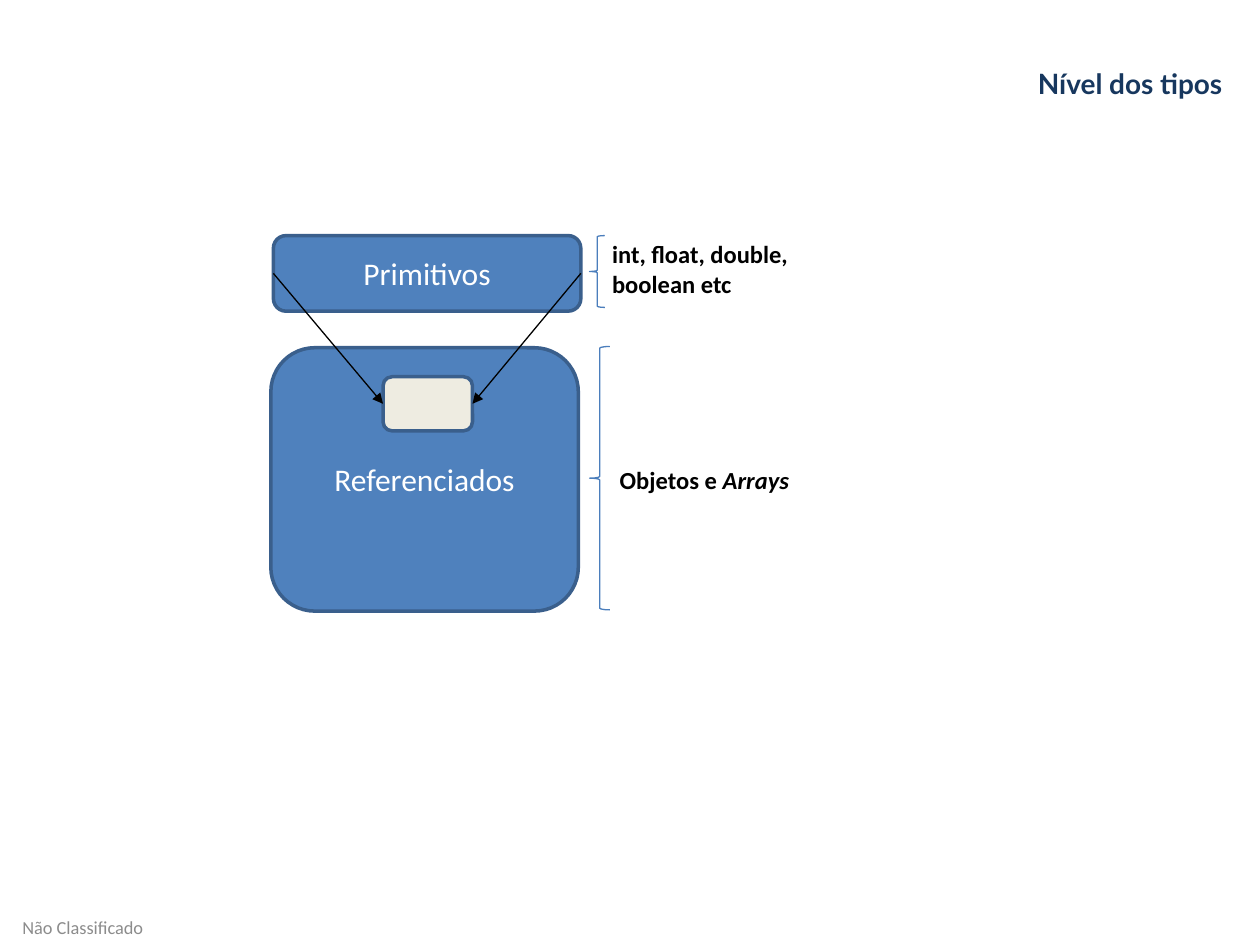
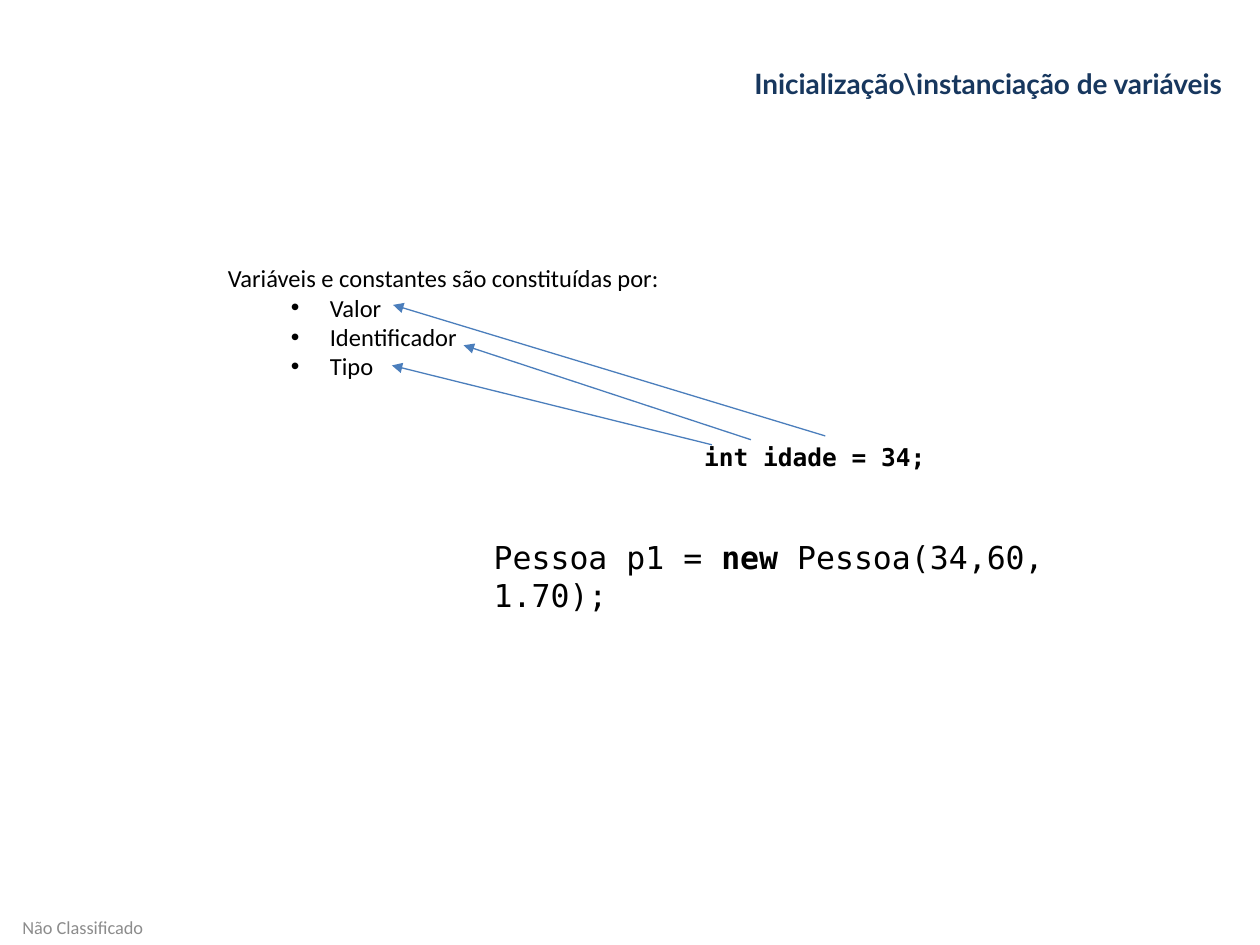
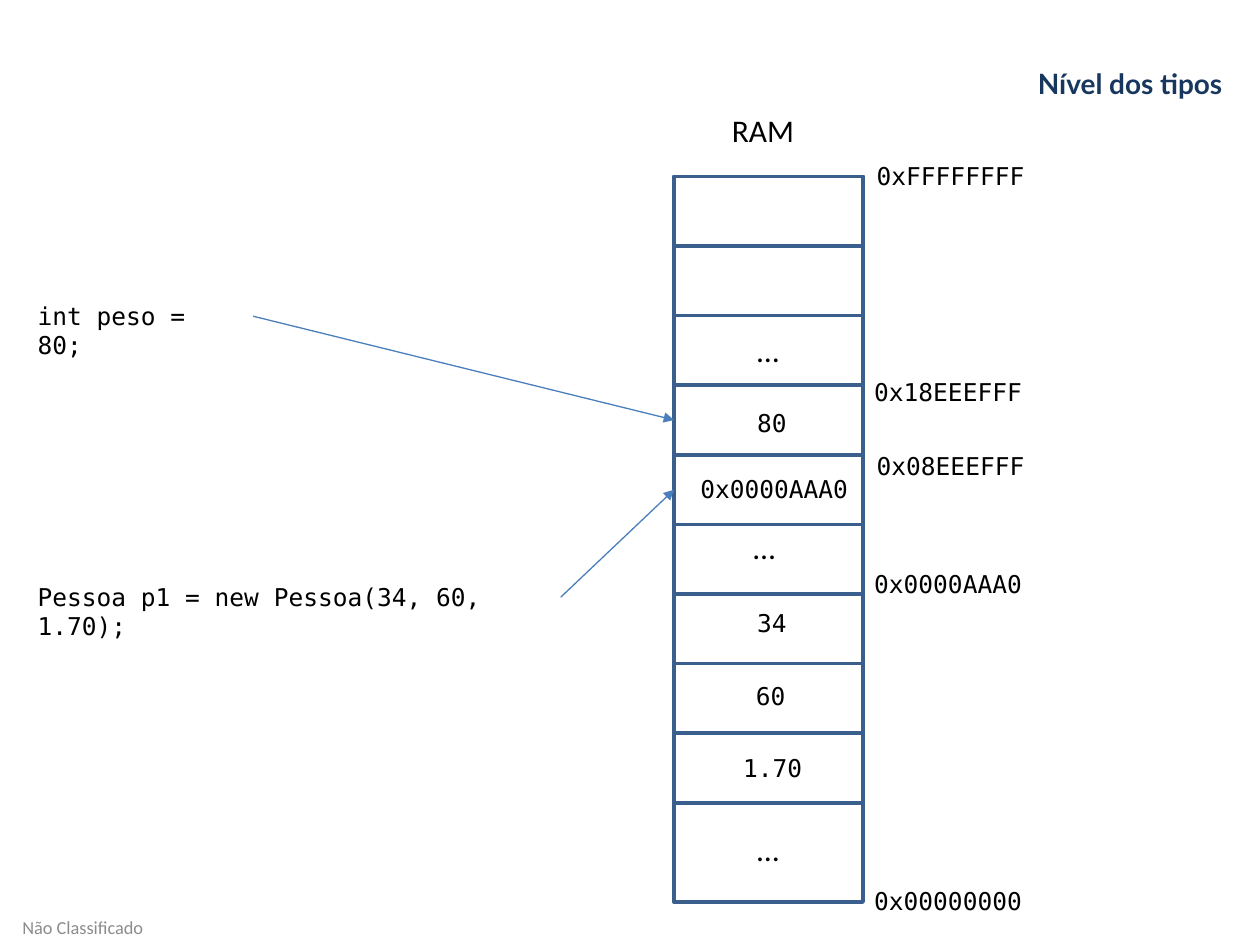
from dataclasses import dataclass

from lxml.etree import SubElement
from pptx import Presentation
from pptx.dml.color import RGBColor
from pptx.enum.shapes import MSO_CONNECTOR, MSO_SHAPE
from pptx.enum.text import MSO_ANCHOR, PP_ALIGN
from pptx.oxml.ns import qn
from pptx.util import Inches, Pt


@dataclass(frozen=True)
class Theme:
    title: RGBColor = RGBColor(0x17, 0x37, 0x5E)
    footer: RGBColor = RGBColor(0x8C, 0x8C, 0x8C)
    blue: RGBColor = RGBColor(0x4F, 0x81, 0xBD)
    outline: RGBColor = RGBColor(0x3A, 0x5F, 0x8C)
    thin: RGBColor = RGBColor(0x4B, 0x7E, 0xBC)
    cream: RGBColor = RGBColor(0xEE, 0xEC, 0xE1)
    black: RGBColor = RGBColor(0, 0, 0)
    white: RGBColor = RGBColor(255, 255, 255)
    body_font: str = "Calibri"
    title_font: str = "Lato"
    code_font: str = "DejaVu Sans Mono"
    footer_size: float = 10.5
    small: int = 14
    title_size: int = 16
    large: int = 18
    border: int = 2
    hairline: float = 0.75


theme = Theme()


def add_text(page, place, text, size=theme.small, font=theme.body_font,
             color=theme.black, bold=False):
    """Add a text box; a new line starts a paragraph and | starts a run."""
    box = page.shapes.add_textbox(*map(Inches, place))
    frame = box.text_frame
    frame.word_wrap = True
    frame.text = text.replace("|", "")
    for para, line in zip(frame.paragraphs, text.split("\n")):
        spans = line.split("|")
        para.runs[0].text = spans[0]
        for part in spans[1:]:
            para.add_run().text = part
        for span in para.runs:
            span.font.size = Pt(size)
            span.font.name = font
            span.font.color.rgb = color
            span.font.bold = bold
    return box


def add_outline(page, kind, place, fill=None, color=theme.outline, width=theme.border):
    """Add a preset shape with an outline and an optional fill."""
    shape = page.shapes.add_shape(kind, *map(Inches, place))
    shape.shadow.inherit = False
    shape.line.color.rgb = color
    shape.line.width = Pt(width)
    if fill is None:
        shape.fill.background()
    else:
        shape.fill.solid()
        shape.fill.fore_color.rgb = fill
    return shape


deck = Presentation()
deck.slide_width, deck.slide_height = Inches(10), Inches(7.5)

# Pages with their shared title and footer
pages = []
for title in ("Nível dos tipos", "Inicialização\\instanciação de variáveis", "Nível dos tipos"):
    page = deck.slides.add_slide(deck.slide_layouts[6])
    footer = add_text(page, (0.08, 7.16, 4.29, 0.4), "Não Classificado",
                      theme.footer_size, color=theme.footer)
    footer.text_frame.vertical_anchor = MSO_ANCHOR.MIDDLE
    heading = add_text(page, (1.22, 0.48, 8.58, 0.75), title, theme.title_size,
                       theme.title_font, theme.title, bold=True)
    heading.text_frame.paragraphs[0].alignment = PP_ALIGN.RIGHT
    pages.append(page)
types_page, variables_page, memory_page = pages

# Page 1: type families
families = []
for label, place in (("Primitivos", (2.17, 1.87, 2.44, 0.6)),
                     ("Referenciados", (2.15, 2.76, 2.44, 2.09))):
    family = add_outline(types_page, MSO_SHAPE.ROUNDED_RECTANGLE, place, theme.blue)
    family.text_frame.text = label
    family.text_frame.vertical_anchor = MSO_ANCHOR.MIDDLE
    para = family.text_frame.paragraphs[0]
    para.alignment = PP_ALIGN.CENTER
    para.runs[0].font.size = Pt(theme.large)
    para.runs[0].font.name = theme.body_font
    para.runs[0].font.color.rgb = theme.white
    families.append(family)
primitives = families[0]
field = add_outline(types_page, MSO_SHAPE.ROUNDED_RECTANGLE, (3.04, 2.99, 0.71, 0.43), theme.cream)

# Page 1: braces and examples
for place in ((4.68, 2.75, 0.16, 2.09), (4.68, 1.87, 0.12, 0.57)):
    add_outline(types_page, MSO_SHAPE.LEFT_BRACE, place, color=theme.thin, width=theme.hairline)
objects = add_text(types_page, (4.82, 3.64, 2.13, 0.34), "Objetos e |Arrays", bold=True)
objects.text_frame.paragraphs[0].runs[1].font.italic = True
add_text(types_page, (4.76, 1.85, 2.13, 0.57), "int, float, double, boolean etc", bold=True)

# Page 2: parts of a variable
parts = add_text(variables_page, (1.71, 2.04, 8.06, 1.04),
                 "Variáveis e constantes são constituídas por:\nValor\nIdentificador\nTipo")
for para in parts.text_frame.paragraphs[1:]:
    para.level = 1
    properties = para._p.get_or_add_pPr()
    properties.set("marL", str(Inches(0.81)))
    properties.set("indent", str(Inches(-0.31)))
    SubElement(properties, qn("a:buFont"), typeface="Arial")
    SubElement(properties, qn("a:buChar"), char="•")

# Page 2: code examples
add_text(variables_page, (5.49, 3.46, 2.13, 0.34), "int idade = 34;",
         font=theme.code_font, bold=True)
creation = add_text(variables_page, (3.82, 4.22, 5.47, 0.44),
                    "Pessoa p1 = |new| Pessoa(34,60, 1.70);", theme.large, theme.code_font)
creation.text_frame.paragraphs[0].runs[1].font.bold = True

# Page 3: memory column; the third and last rows are the column itself
column_left, column_top, column_width = 5.35, 1.4, 1.5
row_height = 4.42 / 8
add_outline(memory_page, MSO_SHAPE.RECTANGLE,
            (column_left, column_top, column_width, 5.76), theme.white)
cells = {}
for row in (0, 1, 3, 4, 5, 6, 7, 8):
    cells[row] = add_outline(memory_page, MSO_SHAPE.RECTANGLE,
                             (column_left, column_top + row * row_height, column_width, row_height))

# Page 3: heading, ellipses, cell values and addresses
for left, top, text in ((5.71, 0.83, "RAM"), (5.91, 2.58, "…"),
                        (5.88, 4.14, "…"), (5.91, 6.54, "…")):
    add_text(memory_page, (left, top, 0.71, 0.4), text, theme.large)
for left, top, width, text in (
    (5.91, 3.19, 0.51, "80"),
    (5.46, 3.71, 1.4, "0x0000AAA0"),
    (5.91, 4.78, 0.51, "34"),
    (5.9, 5.36, 0.52, "60"),
    (5.8, 5.93, 1.38, "1.70"),
    (6.86, 1.23, 1.77, "0xFFFFFFFF"),
    (6.84, 2.94, 1.77, "0x18EEEFFF"),
    (6.86, 3.53, 1.77, "0x08EEEFFF"),
    (6.84, 4.47, 1.4, "0x0000AAA0"),
    (6.84, 6.98, 1.77, "0x00000000"),
):
    add_text(memory_page, (left, top, width, 0.34), text, font=theme.code_font)

# Page 3: statements
weight = add_text(memory_page, (0.2, 2.34, 1.81, 0.34), "int peso = 80;", font=theme.code_font)
person = add_text(memory_page, (0.2, 4.57, 4.25, 0.34),
                  "Pessoa p1 = new Pessoa(34, 60, 1.70);", font=theme.code_font)

# Arrows: page, colour, start, end, joined shapes with their sides
for page, color, start, end, joins in (
    (types_page, theme.black, (4.61, 2.17), (3.75, 3.2), ((primitives, 3), (field, 3))),
    (types_page, theme.black, (2.17, 2.17), (3.04, 3.2), ((primitives, 1), (field, 1))),
    (variables_page, theme.thin, (5.65, 3.53), (3.11, 2.9), None),
    (variables_page, theme.thin, (5.96, 3.49), (3.68, 2.74), None),
    (variables_page, theme.thin, (6.55, 3.46), (3.12, 2.42), None),
    (memory_page, theme.thin, (2.01, 2.51), (5.35, 3.34), ((weight, 3), (cells[3], 1))),
    (memory_page, theme.thin, (4.45, 4.74), (5.35, 3.89), ((person, 3), (cells[4], 1))),
):
    arrow = page.shapes.add_connector(MSO_CONNECTOR.STRAIGHT, *map(Inches, start + end))
    if joins:
        arrow.begin_connect(*joins[0])
        arrow.end_connect(*joins[1])
    arrow.line.color.rgb = color
    arrow.line.width = Pt(theme.hairline)
    SubElement(arrow.line._get_or_add_ln(), qn("a:tailEnd"), type="triangle")
    SubElement(arrow._element.spPr, qn("a:effectLst"))

deck.save("out.pptx")
